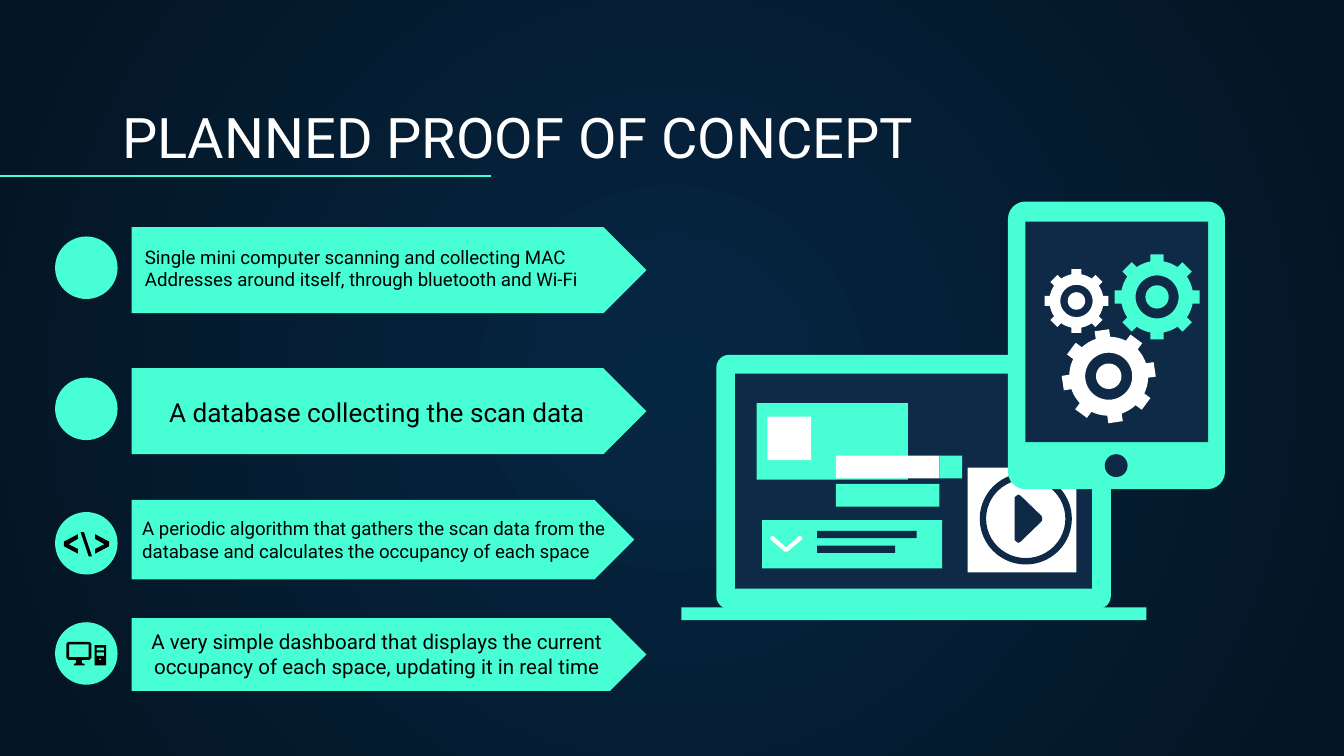
import math
import pptx
import pptx.util
import pptx.oxml
import pptx.oxml.ns
from pptx.dml.color import RGBColor
from pptx.enum.shapes import MSO_CONNECTOR, MSO_SHAPE
from pptx.enum.text import MSO_ANCHOR, PP_ALIGN

MINT = RGBColor(0x48, 0xFF, 0xD5)
NAVY = RGBColor(0x0E, 0x2A, 0x47)
GLOW = RGBColor(0x05, 0x26, 0x43)
DUSK = RGBColor(0x04, 0x15, 0x23)
WHITE = RGBColor(0xFF, 0xFF, 0xFF)
BLACK = RGBColor(0, 0, 0)
COLS, ROWS = 100, 56.25


class Deck:
    """Draws on one slide with a grid of 100 columns by 56.25 rows."""

    font = "Roboto"

    def __init__(self):
        self.prs = pptx.Presentation()
        self.unit = pptx.util.Inches(0.1)
        self.prs.slide_width = self.size(COLS)
        self.prs.slide_height = self.size(ROWS)
        self.slide = self.prs.slides.add_slide(self.prs.slide_layouts[6])
        self.shapes = self.slide.shapes

    def size(self, num):
        return pptx.util.Emu(round(num * self.unit))

    def box(self, *nums):
        return [self.size(num) for num in nums]

    def back(self, inner, outer):
        fill = self.slide.background.fill
        fill.gradient()
        for stop, color in zip(fill.gradient_stops, (inner, outer)):
            stop.color.rgb = color
        qn = pptx.oxml.ns.qn
        lin = next(self.slide.element.iter(qn("a:lin")))
        path = pptx.oxml.parse_xml(
            '<a:path %s path="circle"><a:fillToRect l="50000" t="50000" '
            'r="50000" b="50000"/></a:path>' % pptx.oxml.ns.nsdecls("a"))
        lin.getparent().replace(lin, path)

    def paint(self, shape, color):
        shape.shadow.inherit = False
        shape.fill.solid()
        shape.fill.fore_color.rgb = color
        shape.line.fill.background()
        return shape

    def shape(self, kind, place, color, adj=None):
        item = self.paint(self.shapes.add_shape(kind, *self.box(*place)), color)
        if adj is not None:
            item.adjustments[0] = adj
        return item

    def rect(self, place, color):
        return self.shape(MSO_SHAPE.RECTANGLE, place, color)

    def disc(self, place, color):
        return self.shape(MSO_SHAPE.OVAL, place, color)

    def free(self, loops, color):
        loops = [[self.box(*spot) for spot in loop] for loop in loops]
        pen = self.shapes.build_freeform(*loops[0][0])
        for num, loop in enumerate(loops):
            if num:
                pen.move_to(*loop[0])
            pen.add_line_segments(loop[1:], close=True)
        return self.paint(pen.convert_to_shape(), color)

    def gear(self, x, y, rad, color, turn=0):
        def spot(deg, part):
            ang = math.radians(deg + turn)
            return x + rad * part * math.sin(ang), y - rad * part * math.cos(ang)

        body, half = 0.84, 0.155
        tip = math.degrees(math.asin(half))
        root = math.degrees(math.asin(half / body))
        rim = []
        for mid in range(0, 360, 45):
            rim += [spot(mid - root, body), spot(mid - tip, 1),
                    spot(mid + tip, 1), spot(mid + root, body)]
            rim += [spot(mid + 22.5 + step, body) for step in (-6, 0, 6)]
        rings = [[spot(deg, part) for deg in range(0, 360, 6)]
                 for part in (0.5, 0.27)]
        return self.free([rim] + rings, color)

    def line(self, x, y, x2, y2, color):
        item = self.shapes.add_connector(
            MSO_CONNECTOR.STRAIGHT, *self.box(x, y, x2, y2))
        item.line.color.rgb = color
        item.line.width = pptx.util.Pt(0.75)
        item._element.spPr.append(pptx.oxml.parse_xml(
            "<a:effectLst %s/>" % pptx.oxml.ns.nsdecls("a")))

    def text(self, place, words, size, color, align=PP_ALIGN.LEFT):
        frame = self.shapes.add_textbox(*self.box(*place)).text_frame
        frame.word_wrap = True
        frame.vertical_anchor = MSO_ANCHOR.BOTTOM
        frame.margin_left = frame.margin_right = self.size(1)
        frame.margin_top = frame.margin_bottom = self.size(1)
        para = frame.paragraphs[0]
        para.alignment = align
        run = para.add_run()
        run.text = words
        run.font.name = self.font
        run.font.size = pptx.util.Pt(size)
        run.font.color.rgb = color


def block(x, y, w, h):
    return [(x, y), (x + w, y), (x + w, y + h), (x, y + h)]


def steps(deck):
    left, mid = PP_ALIGN.LEFT, PP_ALIGN.CENTER
    rows = [
        ((9.8, 16.9, 38.3, 6.4), 17.6, (9.8, 17.9, 36.5, 4.7), 10, left,
         "Single mini computer scanning and collecting MAC Addresses around "
         "itself, through bluetooth and Wi-Fi"),
        ((9.8, 27.4, 38.3, 6.4), 28.1, (9.8, 28.2, 36.5, 4.6), 14, mid,
         "A database collecting the scan data"),
        ((9.8, 37.2, 37.4, 5.9), 38.1, (9.6, 37.9, 38.3, 4.9), 10, left,
         "A periodic algorithm that gathers the scan data from the database "
         "and calculates the occupancy of each space"),
        ((9.8, 46, 38.3, 5.4), 46.3, (9.8, 46.9, 36.5, 4.6), 11, mid,
         "A very simple dashboard that displays the current occupancy of "
         "each space, updating it in real time"),
    ]
    for flag, top, place, size, align, words in rows:
        deck.shape(MSO_SHAPE.PENTAGON, flag, MINT, 0.5)
        deck.disc((4.1, top, 4.65, 4.65), MINT)
        deck.text(place, words, size, BLACK, align)


def icons(deck):
    angle = [(5.8, 41.2), (4.75, 40.65), (4.75, 40.3), (5.8, 39.75),
             (5.8, 40.1), (5.1, 40.5), (5.8, 40.85)]
    deck.free([angle], BLACK)
    deck.free([[(12.87 - x, y) for x, y in angle]], BLACK)
    deck.free([[(6.6, 41.4), (6, 39.6), (6.25, 39.6), (6.85, 41.4)]], BLACK)
    screen = [(5.1, 47.75), (6.65, 47.75), (6.8, 47.9), (6.8, 48.95),
              (6.65, 49.1), (6.1, 49.1), (6.1, 49.35), (6.3, 49.4),
              (6.3, 49.5), (5.5, 49.5), (5.5, 49.4), (5.65, 49.35),
              (5.65, 49.1), (5.1, 49.1), (4.95, 48.95), (4.95, 47.9)]
    deck.free([screen, block(5.15, 47.95, 1.45, 0.95)], BLACK)
    deck.free([block(7.05, 48, 0.85, 1.5), block(7.2, 48.2, 0.55, 0.2),
               block(7.2, 48.55, 0.55, 0.25), block(7.4, 49, 0.12, 0.12)], BLACK)


def laptop(deck):
    deck.shape(MSO_SHAPE.ROUNDED_RECTANGLE, (53.3, 26.4, 29.35, 18.9), MINT, 0.05)
    deck.rect((54.7, 27.8, 26.55, 16), NAVY)
    deck.rect((50.7, 45.2, 34.6, 0.95), MINT)
    for place, color in [
        ((56.3, 30, 11.25, 5.7), MINT), ((57.1, 31, 3.25, 3.25), WHITE),
        ((56.7, 38.7, 13.4, 3.6), MINT), ((60.8, 39.5, 7.4, 0.55), NAVY),
        ((60.8, 40.6, 5.8, 0.55), NAVY), ((62.2, 36, 7.7, 1.7), MINT),
        ((62.2, 33.9, 7.7, 1.7), WHITE), ((69.9, 33.9, 1.7, 1.7), MINT),
        ((72, 34.8, 8.1, 7.8), WHITE),
    ]:
        deck.rect(place, color)
    deck.free([[(57.5, 39.85), (58.5, 40.75), (59.5, 39.85), (59.7, 40),
                (59.65, 40.15), (58.6, 41.05), (58.4, 41.05), (57.35, 40.15),
                (57.3, 40)]], WHITE)
    deck.shape(MSO_SHAPE.DONUT, (72.9, 35.2, 6.85, 6.8), NAVY, 0.07)
    deck.free([[(75.5, 37), (75.75, 36.8), (75.95, 36.9), (77.5, 38.4),
                (77.55, 38.6), (77.5, 38.8), (75.95, 40.3), (75.75, 40.4),
                (75.5, 40.2)]], NAVY)


def tablet(deck):
    deck.shape(MSO_SHAPE.ROUNDED_RECTANGLE, (75, 15, 16.15, 21.4), MINT, 0.08)
    deck.rect((76.3, 16.5, 13.6, 16.4), NAVY)
    deck.disc((82.2, 33.8, 1.7, 1.7), NAVY)
    deck.gear(86.1, 22.1, 3.2, MINT)
    deck.gear(80.1, 22.4, 2.4, WHITE)
    deck.gear(82.5, 28, 3.5, WHITE, -8.5)


def main():
    deck = Deck()
    deck.back(GLOW, DUSK)
    deck.text((8.1, 7, 88.5, 6.6), "PLANNED PROOF OF CONCEPT", 30, WHITE)
    deck.line(0, 13.1, 36.5, 13.1, MINT)
    steps(deck)
    icons(deck)
    laptop(deck)
    tablet(deck)
    deck.prs.save("out.pptx")


if __name__ == "__main__":
    main()
